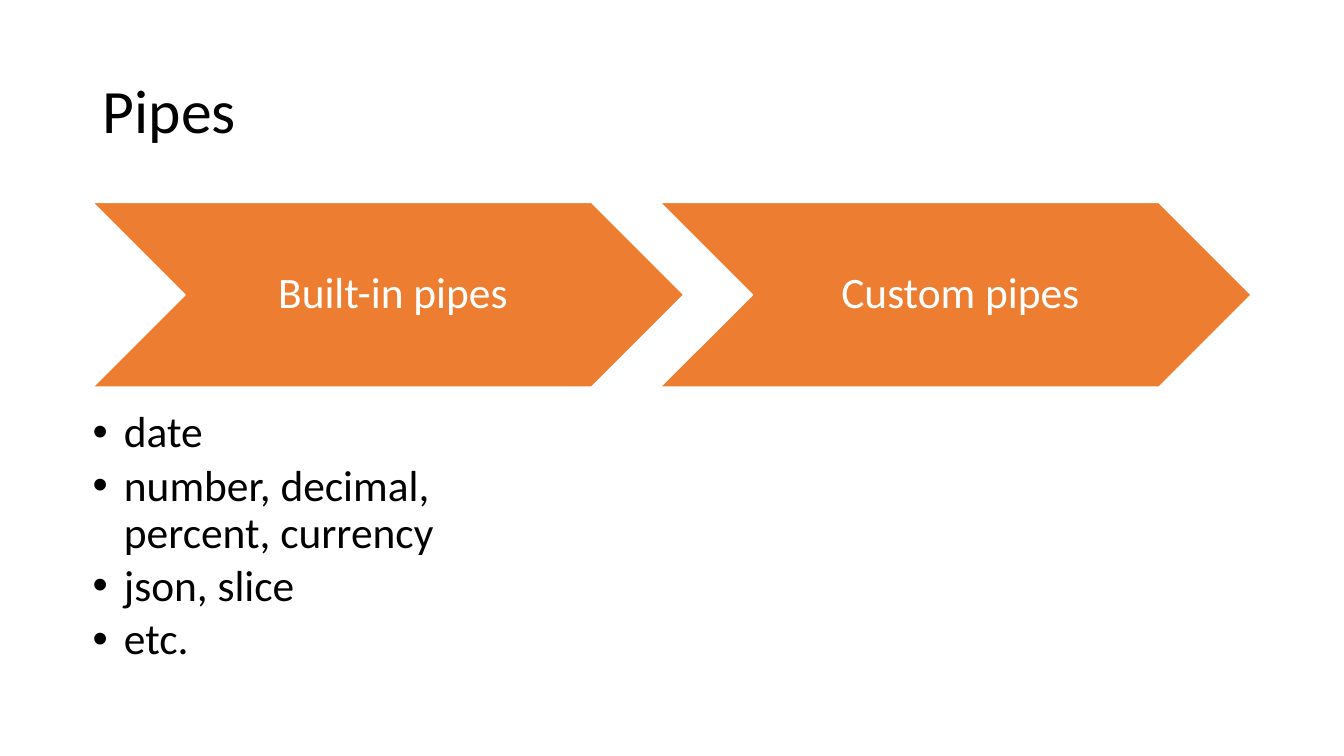
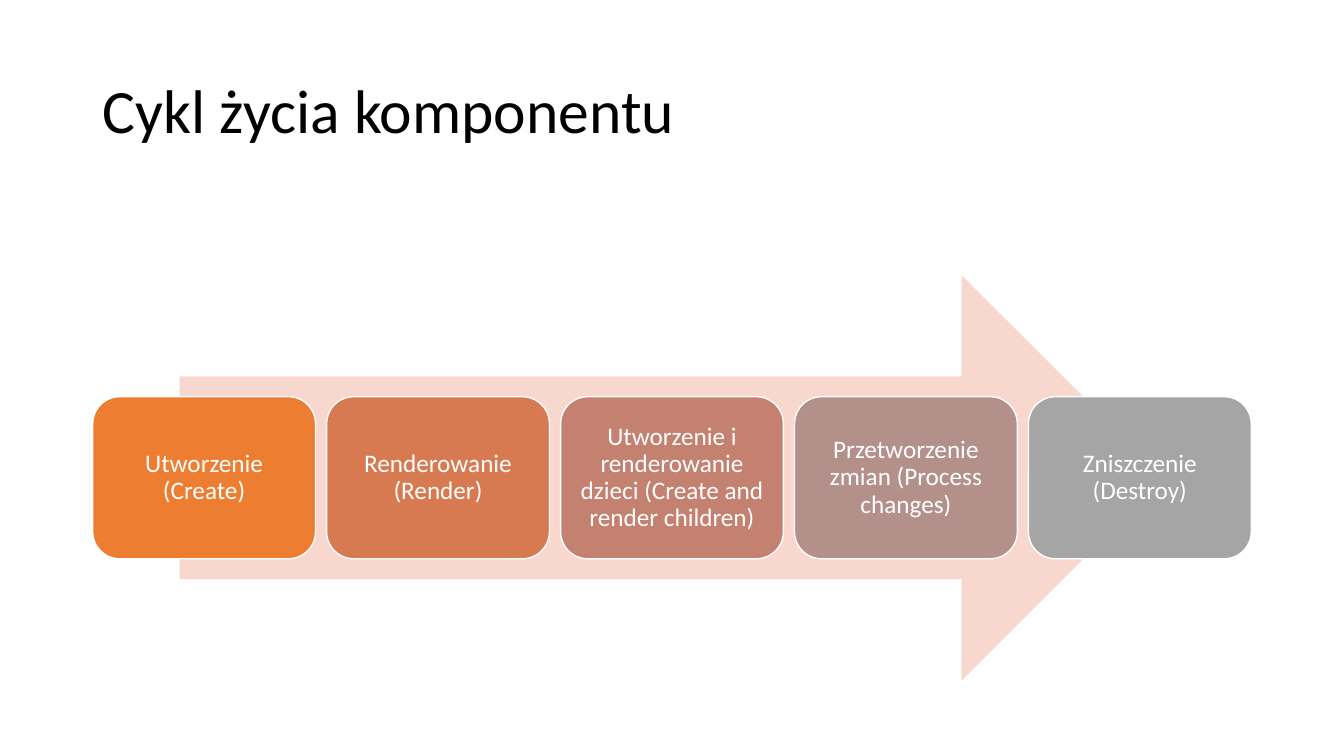
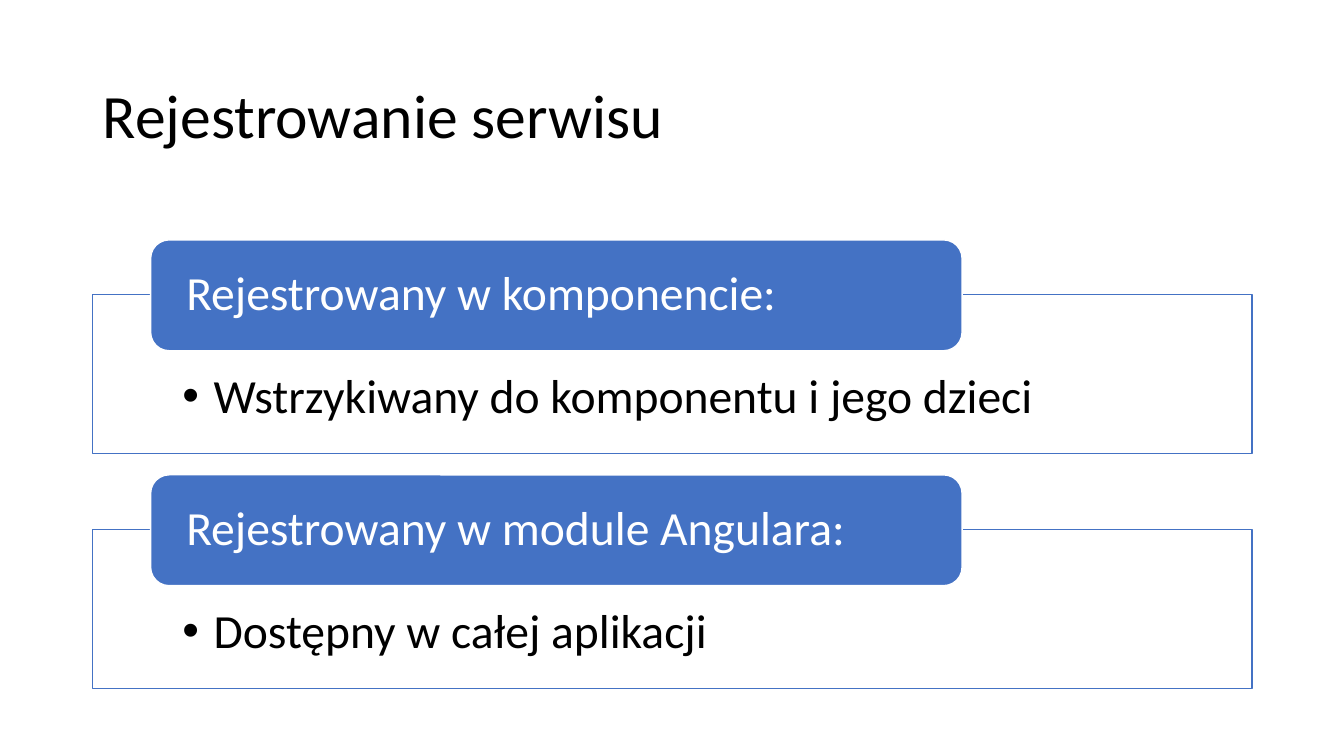
import collections

import pptx
import pptx.dml.color
import pptx.enum.shapes
import pptx.enum.text
import pptx.util

RGB = pptx.dml.color.RGBColor
KIND = pptx.enum.shapes.MSO_SHAPE
ALIGN = pptx.enum.text.PP_ALIGN
ANCHOR = pptx.enum.text.MSO_ANCHOR
Inches = pptx.util.Inches
Pt = pptx.util.Pt

# Shared style
FONT = "Calibri"
BLACK = RGB(0x00, 0x00, 0x00)
WHITE = RGB(0xFF, 0xFF, 0xFF)
ORANGE = RGB(0xED, 0x7D, 0x31)
BLUE = RGB(0x44, 0x72, 0xC4)
PINK = RGB(0xF8, 0xD7, 0xCE)
RUST = RGB(0xD8, 0x7A, 0x51)
ROSE = RGB(0xC4, 0x81, 0x70)
MAUVE = RGB(0xB4, 0x90, 0x8B)
GREY = RGB(0xA5, 0xA5, 0xA5)

Box = collections.namedtuple("Box", "x y w h")
PAGE = Box(0, 0, 13.33, 7.5)
INDENT = 0.31


def part(box, x, y, w, h):
    """Return an area of the box, given in percent of its size."""
    return Box(box.x + box.w * x / 100, box.y + box.h * y / 100,
               box.w * w / 100, box.h * h / 100)


def split(box, count, gap, down=False):
    """Cut the box into equal cells; the gap is a share of a cell."""
    size = 100 / (count + (count - 1) * gap)
    starts = [i * size * (1 + gap) for i in range(count)]
    if down:
        return [part(box, 0, s, 100, size) for s in starts]
    return [part(box, s, 0, size, 100) for s in starts]


TITLE = part(PAGE, 6.9, 5.33, 86.25, 19.33)
LOW_TITLE = part(PAGE, 6.9, 7.73, 63.3, 16)


def place(shape, box):
    shape.left, shape.top, shape.width, shape.height = map(Inches, box)


def write(shape, text, size, color, align=ALIGN.LEFT, anchor=ANCHOR.MIDDLE,
          pads=(0.1, 0.05, 0.1, 0.05), after=0.35):
    """Fill the shape with text; after is a share of the font size."""
    frame = shape.text_frame
    frame.text = text
    frame.word_wrap = True
    frame.auto_size = pptx.enum.text.MSO_AUTO_SIZE.NONE
    frame.vertical_anchor = anchor
    (frame.margin_left, frame.margin_top,
     frame.margin_right, frame.margin_bottom) = map(Inches, pads)
    for para in frame.paragraphs:
        para.alignment = align
        para.line_spacing = 0.9
        para.space_before = Pt(0)
        para.space_after = Pt(round(size * after, 1))
        for run in para.runs:
            run.font.name = FONT
            run.font.size = Pt(size)
            run.font.color.rgb = color


def bullets(holder, box, items, size, pads):
    """Turn a body placeholder into a list with hanging bullets."""
    place(holder, box)
    write(holder, "\n".join(items), size, BLACK, anchor=ANCHOR.TOP,
          pads=pads, after=0.15)
    for para in holder.text_frame.paragraphs:
        props = para._p.get_or_add_pPr()
        props.set("marL", str(Inches(INDENT)))
        props.set("indent", str(-Inches(INDENT)))


def paint(shape, fill, line=None):
    shape.fill.solid()
    shape.fill.fore_color.rgb = fill
    if line is None:
        shape.line.fill.background()
    else:
        shape.line.color.rgb = line
        shape.line.width = Pt(1)


def draw(slide, kind, box, fill, line=None):
    shape = slide.shapes.add_shape(kind, *map(Inches, box))
    shape.shadow.inherit = False
    paint(shape, fill, line)
    return shape


def start(deck, layout, title, box=TITLE):
    slide = deck.slides.add_slide(deck.slide_layouts.get_by_name(layout))
    place(slide.shapes.title, box)
    write(slide.shapes.title, title, 44, BLACK, after=0)
    return slide


# Chevrons with a list below the first
def pipes(slide, box, names, items):
    cells = split(box, len(names), -0.04)
    for cell, name in zip(cells, names):
        shape = draw(slide, KIND.CHEVRON, part(cell, 0, 0, 100, 38.7),
                     ORANGE, WHITE)
        write(shape, name, 31, WHITE, ALIGN.CENTER,
              pads=(0.14, 0.05, 0.05, 0.05))
    bullets(slide.placeholders[1], part(cells[0], 0, 43.55, 80, 56.45),
            items, 31, (0, 0, 0, 0))


# Row of cards on a wide arrow
def cycle(slide, box, steps):
    draw(slide, KIND.RIGHT_ARROW, part(box, 7.5, 0, 85, 100), PINK)
    cells = split(part(box, 0, 30, 100, 40), len(steps), 0.05)
    for cell, (name, color) in zip(cells, steps):
        card = draw(slide, KIND.ROUNDED_RECTANGLE, cell, color, WHITE)
        write(card, name, 18, WHITE, ALIGN.CENTER, pads=(0.07,) * 4)


# Framed list with a heading over its top edge
def panel(slide, holder, box, head, item):
    paint(holder, WHITE, BLUE)
    bullets(holder, part(box, 0, 25.5, 100, 74.5), [item], 34,
            (0.89, 0.77, 0.89, 0.26))
    label = draw(slide, KIND.ROUNDED_RECTANGLE, part(box, 5, 0, 70, 51.9),
                 BLUE, WHITE)
    write(label, head, 34, WHITE, pads=(0.3, 0, 0.3, 0))


def main():
    deck = pptx.Presentation()
    deck.slide_width = Inches(PAGE.w)
    deck.slide_height = Inches(PAGE.h)

    slide = start(deck, "Title and Content", "Pipes")
    pipes(slide, part(PAGE, 6.9, 26.8, 86.2, 63.07),
          ["Built-in pipes", "Custom pipes"],
          ["date", "number, decimal, percent, currency", "json, slice",
           "etc."])

    slide = start(deck, "Title Only", "Cykl życia komponentu")
    cycle(slide, part(PAGE, 6.9, 36.4, 86.2, 53.6), [
        ("Utworzenie (Create)", ORANGE),
        ("Renderowanie (Render)", RUST),
        ("Utworzenie i renderowanie dzieci (Create and render children)",
         ROSE),
        ("Przetworzenie zmian (Process changes)", MAUVE),
        ("Zniszczenie (Destroy)", GREY),
    ])

    slide = start(deck, "Two Content", "Rejestrowanie serwisu", LOW_TITLE)
    panels = [
        ("Rejestrowany w komponencie:",
         "Wstrzykiwany do komponentu i jego dzieci"),
        ("Rejestrowany w module Angulara:", "Dostępny w całej aplikacji"),
    ]
    cells = split(part(PAGE, 6.9, 31.73, 86.25, 59.33), len(panels), 0.1,
                  down=True)
    for i, (cell, (head, item)) in enumerate(zip(cells, panels), 1):
        panel(slide, slide.placeholders[i], cell, head, item)

    deck.save("out.pptx")


if __name__ == "__main__":
    main()
